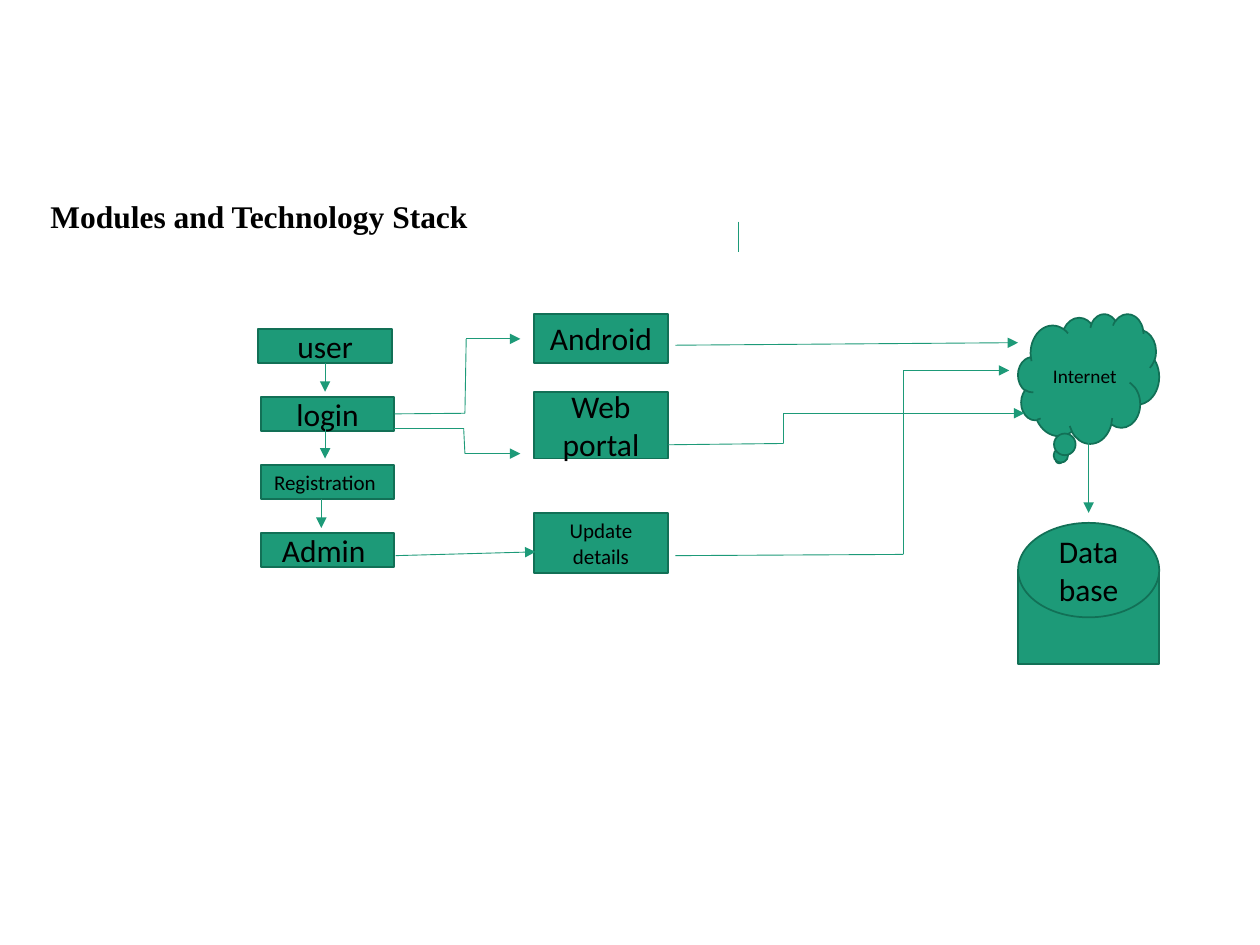
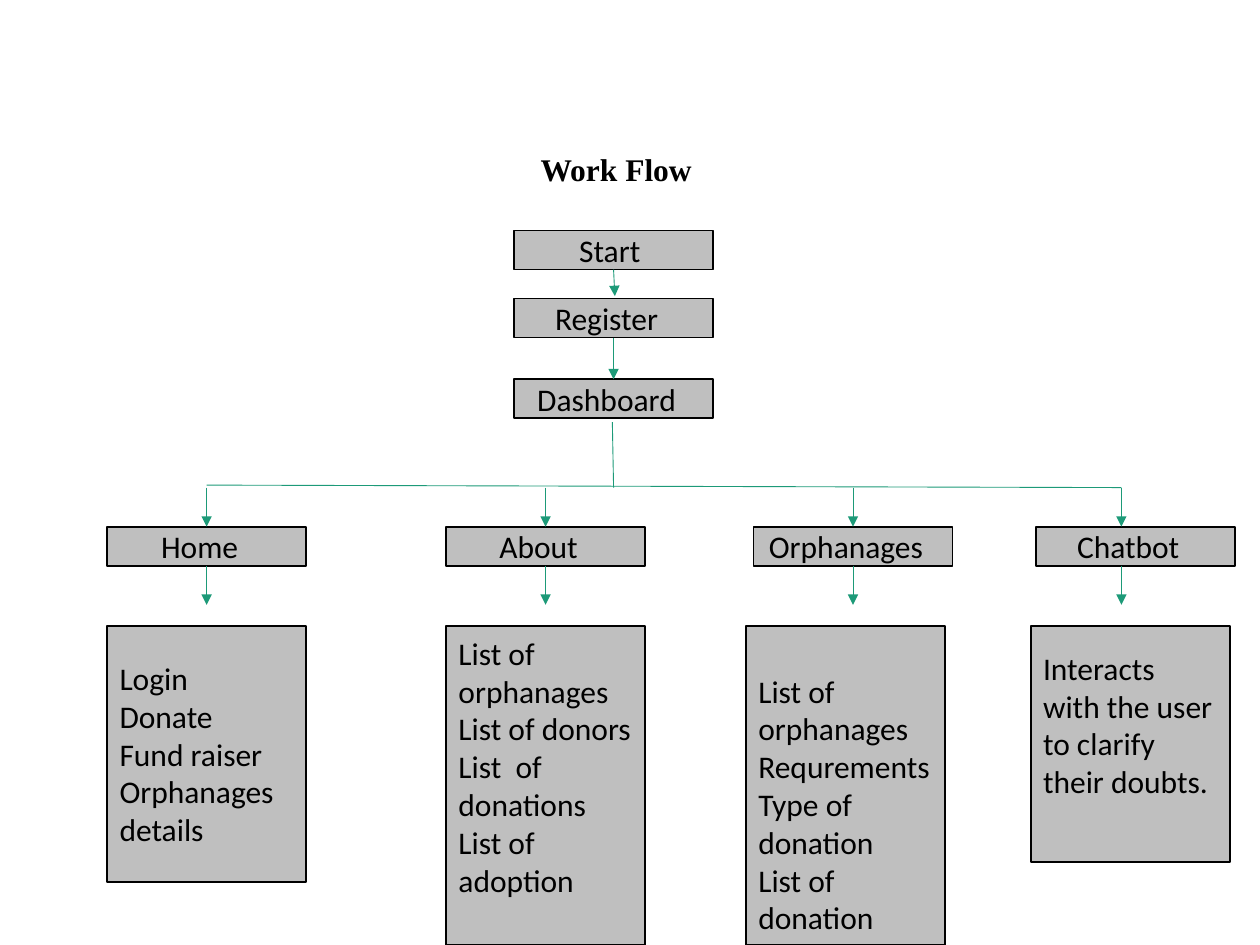
from itertools import pairwise
from lxml.etree import SubElement
from pptx import Presentation
from pptx.dml.color import RGBColor
from pptx.enum.shapes import MSO_CONNECTOR, MSO_SHAPE
from pptx.enum.text import MSO_ANCHOR, PP_ALIGN
from pptx.oxml.ns import qn
from pptx.util import Inches, Pt

GREEN = RGBColor(0x1D, 0x9A, 0x78)
DARK_GREEN = RGBColor(0x12, 0x70, 0x56)
GREY = RGBColor(0xBF, 0xBF, 0xBF)
BLACK = RGBColor(0, 0, 0)

TITLE_FONT = {"name": "Times New Roman", "size": Pt(18), "bold": True}
BODY_FONT = {"name": "Calibri", "size": Pt(18)}
MODULE = {"fill": GREEN, "line": DARK_GREEN}
STEP = {"fill": GREY, "line": BLACK}
TOP, LEFT, BOTTOM, RIGHT = range(4)


def set_format(obj, values):
    for key, value in values.items():
        setattr(obj, key, value)


def write(tf, lines, font, align):
    for i, line in enumerate(lines):
        p = tf.paragraphs[0] if i == 0 else tf.add_paragraph()
        p.alignment = align
        r = p.add_run()
        r.text = line
        set_format(r.font, font)
        r.font.color.rgb = BLACK


def add_title(s, text, x, y, w, h):
    tf = s.shapes.add_textbox(*map(Inches, (x, y, w, h))).text_frame
    set_format(tf, {"word_wrap": True,
                    "margin_left": Inches(0.07), "margin_right": Inches(0.07),
                    "margin_top": Inches(0.04), "margin_bottom": Inches(0.04)})
    write(tf, [text], TITLE_FONT, PP_ALIGN.LEFT)


def add_node(s, box, lines, style, size=18, kind=MSO_SHAPE.RECTANGLE,
             align=PP_ALIGN.CENTER, anchor=MSO_ANCHOR.MIDDLE, top=0.05, right=0.1):
    sp = s.shapes.add_shape(kind, *map(Inches, box))
    sp.shadow.inherit = False
    sp.fill.solid()
    sp.fill.fore_color.rgb = style["fill"]
    sp.line.color.rgb = style["line"]
    sp.line.width = Pt(1)
    tf = sp.text_frame
    set_format(tf, {"word_wrap": True, "vertical_anchor": anchor,
                    "margin_left": Inches(0.1), "margin_right": Inches(right),
                    "margin_top": Inches(top), "margin_bottom": Inches(0.05)})
    write(tf, lines, {**BODY_FONT, "size": Pt(size)}, align)
    return sp


def add_route(s, points, arrow=True, begin=None, end=None):
    for (x1, y1), (x2, y2) in pairwise(points):
        c = s.shapes.add_connector(MSO_CONNECTOR.STRAIGHT,
                                   *map(Inches, (x1, y1, x2, y2)))
        c.line.color.rgb = GREEN
        c.line.width = Pt(0.5)
        SubElement(c.element.spPr, qn("a:effectLst"))
        if begin and (x1, y1) == points[0]:
            c.begin_connect(*begin)
        if end and (x2, y2) == points[-1]:
            c.end_connect(*end)
    if arrow:
        SubElement(c.element.spPr.find(qn("a:ln")), qn("a:tailEnd"), type="triangle")


def add_user_column(s, x, y):
    steps = [("user", 18, 0.1), ("login", 18, 0.1),
             ("Registration", 12, 0.14), ("Admin", 18, 0.16)]
    nodes = [add_node(s, (x if i else x - 0.02, y + i * 0.54, 1.06, 0.27),
                      [text], MODULE, size, right=right)
             for i, (text, size, right) in enumerate(steps)]
    user, login = nodes[:2]
    add_route(s, [(x + 0.51, y + 0.27), (x + 0.51, y + 0.5)], begin=(user, BOTTOM))
    add_route(s, [(x + 0.51, y + 0.79), (x + 0.51, y + 1.03)])
    add_route(s, [(x + 0.48, y + 1.35), (x + 0.48, y + 1.58)])
    return login


def add_channels(s, x, y):
    for text, size, top, h in [("Android", 18, 0, 0.39),
                               ("Web portal", 18, 0.62, 0.53),
                               ("Update details", 12, 1.58, 0.48)]:
        add_node(s, (x, y + top, 1.06, h), [text], MODULE, size)


def add_cloud_and_database(s, x, y):
    cloud = add_node(s, (x, y, 1.12, 1.03), ["Internet"], MODULE, 11,
                     MSO_SHAPE.CLOUD_CALLOUT, right=0.08)
    cloud.adjustments[0], cloud.adjustments[1] = -0.208, 0.625
    add_node(s, (x, y + 2.03, 1.12, 0.75), [], MODULE)
    add_node(s, (x, y + 1.66, 1.12, 0.75), ["Database"], MODULE, kind=MSO_SHAPE.OVAL)
    add_route(s, [(x + 0.56, y + 0.72), (x + 0.56, y + 1.58)])


def build_modules(prs):
    s = prs.slides.add_slide(prs.slide_layouts[6])
    add_title(s, "Modules and Technology Stack", 0.33, 1.52, 3.49, 0.68)
    login = add_user_column(s, 2.07, 2.61)
    add_channels(s, 4.24, 2.49)
    add_cloud_and_database(s, 8.08, 2.49)
    add_route(s, [(3.13, 3.28), (3.69, 3.28), (3.7, 2.69), (4.13, 2.69)],
              begin=(login, RIGHT))
    add_route(s, [(3.13, 3.4), (3.68, 3.4), (3.69, 3.6), (4.13, 3.6)])
    add_route(s, [(3.14, 4.41), (4.25, 4.38)])
    add_route(s, [(5.36, 2.74), (8.08, 2.72)])
    add_route(s, [(5.3, 3.53), (6.22, 3.52), (6.22, 3.28), (8.13, 3.28)])
    add_route(s, [(5.36, 4.41), (7.17, 4.4), (7.17, 2.94), (8.01, 2.94)])
    add_route(s, [(5.86, 1.76), (5.86, 2)], arrow=False)


def add_entry_steps(s, x, y):
    mid = x + 0.79
    start, register, dashboard = [
        add_node(s, (x, y + top, 1.58, 0.31), [text], STEP, right=right)
        for text, top, right in [("Start", 0, 0.16), ("Register", 0.54, 0.21),
                                 ("Dashboard", 1.18, 0.21)]]
    add_route(s, [(mid, y + 0.31), (mid + 0.01, y + 0.52)], begin=(start, BOTTOM))
    add_route(s, [(mid, y + 0.87), (mid, y + 1.18)],
              begin=(register, BOTTOM), end=(dashboard, TOP))
    add_route(s, [(mid - 0.01, y + 1.52), (mid, y + 2.04)], arrow=False)


def add_branch(s, x, y, name, details, shift, height, top, arrow_x, joined):
    head = add_node(s, (x, y, 1.58, 0.31), [name], STEP, right=0.21)
    add_node(s, (x + shift, y + 0.79, 1.58, height), details, STEP,
             align=PP_ALIGN.LEFT, anchor=MSO_ANCHOR.TOP, top=top)
    mid = x + arrow_x
    add_route(s, [(mid, y - 0.31), (mid, y)], end=(head, TOP) if joined else None)
    add_route(s, [(mid, y + 0.31), (mid, y + 0.62)],
              begin=(head, BOTTOM) if joined else None)


def build_work_flow(prs):
    s = prs.slides.add_slide(prs.slide_layouts[6])
    add_title(s, "Work Flow", 4.22, 1.15, 1.44, 0.38)
    add_entry_steps(s, 4.08, 1.83)
    add_route(s, [(1.64, 3.85), (8.9, 3.87)], arrow=False)
    branches = [
        (0.85, "Home", ["Login", "Donate", "Fund raiser", "Orphanages details"],
         0, 2.03, 0.26, 0.79, True),
        (3.54, "About", ["List of orphanages", "List of donors",
                         "List  of donations", "List of adoption"],
         0, 2.53, 0.06, 0.79, True),
        (5.98, "Orphanages", ["List of orphanages", "Requrements",
                              "Type of donation", "List of donation"],
         -0.06, 2.53, 0.36, 0.79, True),
        (8.22, "Chatbot", ["Interacts with the user to clarify their doubts."],
         -0.04, 1.87, 0.18, 0.68, False),
    ]
    for x, *branch in branches:
        add_branch(s, x, 4.18, *branch)


def main():
    prs = Presentation()
    prs.slide_width, prs.slide_height = Inches(10), Inches(7.5)
    build_modules(prs)
    build_work_flow(prs)
    prs.save("out.pptx")


if __name__ == "__main__":
    main()
